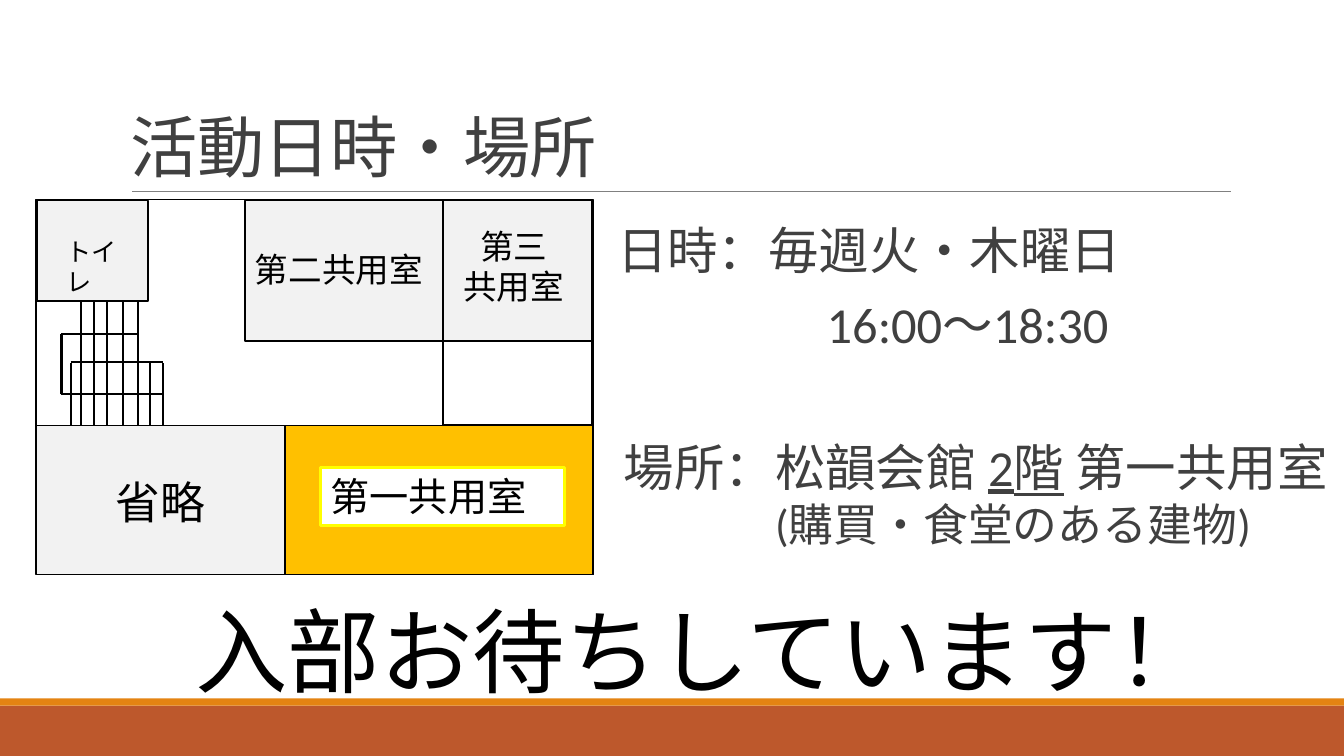
"""Build the slide on club hours and the room map."""
from pptx import Presentation
from pptx.dml.color import RGBColor
from pptx.enum.shapes import MSO_CONNECTOR, MSO_SHAPE
from pptx.enum.text import MSO_ANCHOR, MSO_AUTO_SIZE, PP_ALIGN
from pptx.oxml.ns import qn
from pptx.util import Inches, Pt

RECT = MSO_SHAPE.RECTANGLE
STRAIGHT = MSO_CONNECTOR.STRAIGHT
TOP, BOTTOM = MSO_ANCHOR.TOP, MSO_ANCHOR.BOTTOM
GROW, FIXED = MSO_AUTO_SIZE.SHAPE_TO_FIT_TEXT, MSO_AUTO_SIZE.NONE
LEFT, CENTER = PP_ALIGN.LEFT, PP_ALIGN.CENTER
FONT = "Calibri"
BLACK, WHITE, GREY, DARK = "000000", "FFFFFF", "F2F2F2", "404040"


def paint(part, color):
    """Give a fill or a font one solid colour."""
    if hasattr(part, "solid"):
        part.solid()
        part = part.fore_color
    else:
        part = part.color
    part.rgb = RGBColor.from_string(color)


def add_rect(slide, box, fill=None, line=None, width=1.25):
    """Add a rectangle with an optional fill and outline."""
    shape = slide.shapes.add_shape(RECT, *map(Inches, box))
    shape.shadow.inherit = False
    if fill:
        paint(shape.fill, fill)
    else:
        shape.fill.background()
    if line:
        paint(shape.line.fill, line)
        shape.line.width = Pt(width)
    else:
        shape.line.fill.background()
    return shape


def add_line(slide, start, end, color=BLACK, width=1.5):
    """Add a straight line without a shadow."""
    line = slide.shapes.add_connector(STRAIGHT, *map(Inches, start + end))
    paint(line.line.fill, color)
    line.line.width = Pt(width)
    props = line._element.spPr
    props.append(props.makeelement(qn("a:effectLst"), {}))


def write(frame, text, new=True, size=24, color=BLACK, align=LEFT, under=False,
          indent=0, space=None, before=0, after=0, track=0):
    """Write one run, in a new paragraph or at the end of the last one."""
    para = frame.paragraphs[-1]
    if new:
        if para.runs:
            para = frame.add_paragraph()
        para.alignment = align
        para.line_spacing = space
        para.space_before, para.space_after = Pt(before), Pt(after)
        para._p.get_or_add_pPr().set("marL", str(Inches(indent)))
    run = para.add_run()
    run.text = text
    run.font.name, run.font.size = FONT, Pt(size)
    run.font.underline = under
    paint(run.font, color)
    if track:
        run._r.get_or_add_rPr().set("spc", str(track))


def set_frame(shape, anchor=TOP, fit=GROW, inset=0.1):
    """Set wrapping, anchor, fit and side insets of a text frame."""
    frame = shape.text_frame
    frame.word_wrap = True
    frame.vertical_anchor, frame.auto_size = anchor, fit
    frame.margin_left = frame.margin_right = Inches(inset)
    return frame


def add_text(slide, box, **kind):
    """Add a text box and return its frame."""
    return set_frame(slide.shapes.add_textbox(*map(Inches, box)), **kind)


def add_stairs(slide):
    """Draw the stairs of the map."""
    for x in (0.8, 0.93, 1.06, 1.22, 1.37):
        add_line(slide, (x, 4.22), (x, 2.99))
    for x in (0.7, 1.49, 1.62):
        add_line(slide, (x, 4.22), (x, 3.6))
    add_line(slide, (0.7, 3.59), (1.62, 3.59))
    add_line(slide, (1.62, 3.91), (0.61, 3.91))
    add_line(slide, (0.61, 3.91), (0.61, 3.31))
    add_line(slide, (0.61, 3.31), (1.37, 3.31))


def add_map(slide):
    """Draw the floor map with its room names."""
    for box, fill in (
        ((0.36, 1.98, 5.52, 3.69), WHITE),
        ((0.36, 4.22, 5.52, 1.48), GREY),
        ((0.37, 1.99, 1.1, 1), GREY),
        ((2.43, 1.99, 3.45, 1.39), GREY),
        ((4.39, 1.98, 1.48, 2.24), None),
        ((2.83, 4.22, 3.05, 1.48), "FFC000"),
    ):
        add_rect(slide, box, fill, BLACK)
    add_stairs(slide)
    for box, lines, size, align in (
        ((1.05, 4.66, 1.19, 0.61), ["省略"], 32, LEFT),
        ((0.56, 2.29, 0.87, 0.38), ["トイレ"], 18, LEFT),
        ((2.43, 2.42, 2.01, 0.5), ["第二共用室"], 24, LEFT),
        ((4.35, 2.19, 1.49, 0.91), ["第三", "共用室"], 24, CENTER),
    ):
        frame = add_text(slide, box)
        for text in lines:
            write(frame, text, size=size, align=align)
    room = add_rect(slide, (3.18, 4.64, 2.42, 0.57), WHITE, "FFFF00", 2.25)
    write(set_frame(room), "第一共用室", size=28)


def add_place(slide):
    """Write where the club meets."""
    frame = add_text(slide, (6.09, 4.28, 7.37, 1.25))
    write(frame, "場所：松韻会館 ", size=36, color=DARK)
    write(frame, "2階", new=False, size=36, color=DARK, under=True)
    write(frame, " 第一共用室", new=False, size=36, color=DARK)
    write(frame, "(購買・食堂のある建物)", size=32, color=DARK, indent=1.5)


def add_hours(slide):
    """Write when the club meets."""
    frame = add_text(slide, (6.12, 2.19, 7.14, 1.59), fit=FIXED, inset=0)
    style = dict(size=36, color=DARK, space=0.9, after=2)
    write(frame, "日時：毎週火・木曜日", **style)
    write(frame, "16:00～18:30", indent=2.08, before=12, **style)


def main():
    """Build and save the slide."""
    deck = Presentation()
    deck.slide_width, deck.slide_height = Inches(13.33), Inches(7.5)
    slide = deck.slides.add_slide(deck.slide_layouts[6])
    add_rect(slide, (0, 7, 13.33, 0.5), "BD582C")
    add_rect(slide, (0, 6.93, 13.33, 0.07), "E48312")
    add_line(slide, (1.31, 1.9), (12.21, 1.9), "808080", 0.5)
    title = add_text(slide, (1.2, 0.31, 11, 1.59), anchor=BOTTOM, fit=FIXED)
    write(title, "活動日時・場所", size=48, color=DARK, space=0.85, track=-50)
    add_place(slide)
    add_map(slide)
    write(add_text(slide, (1.84, 5.84, 10.93, 1.21)),
          "入部お待ちしています！", size=66)
    add_hours(slide)
    deck.save("out.pptx")


if __name__ == "__main__":
    main()
